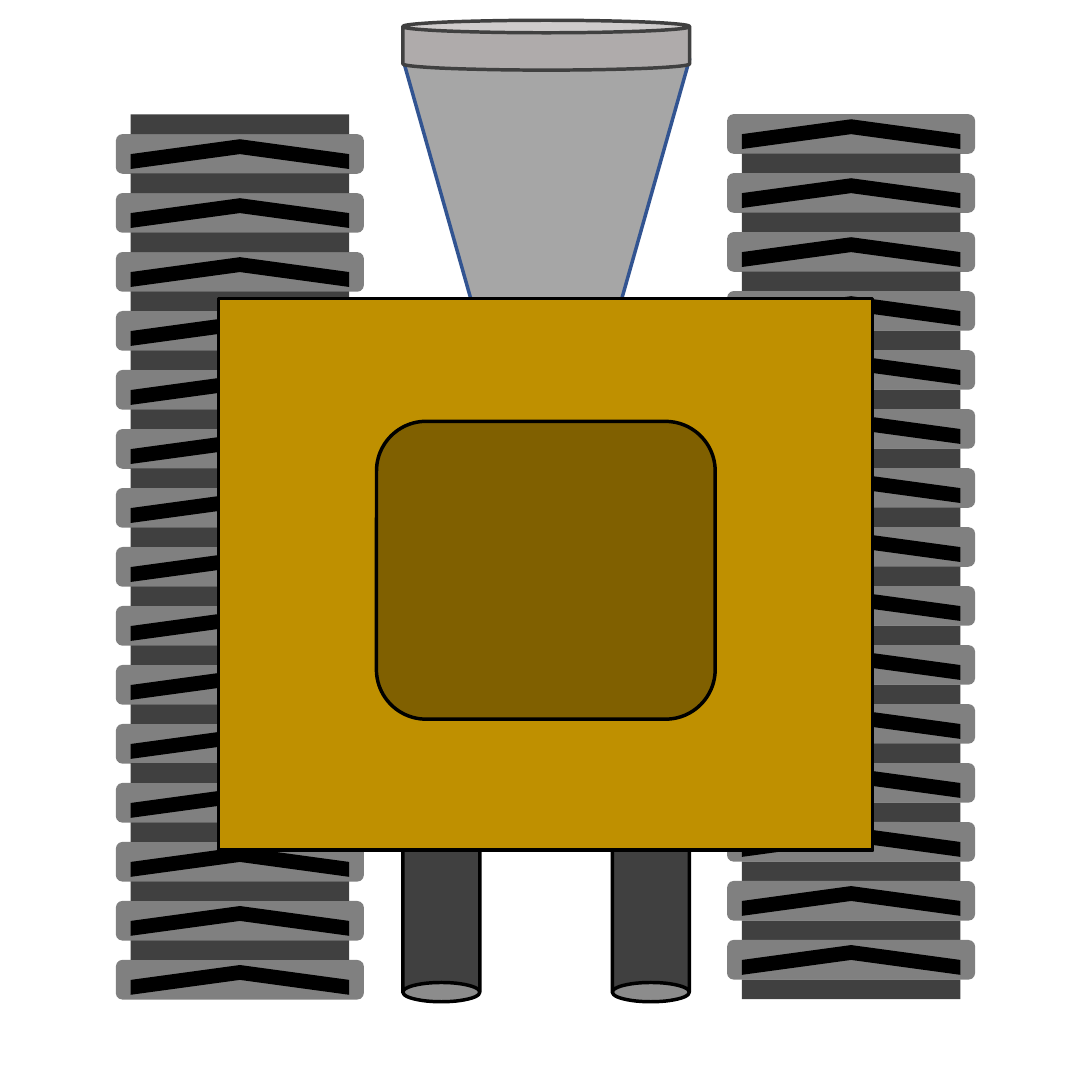
from pptx import Presentation
from pptx.dml.color import RGBColor
from pptx.enum.shapes import MSO_SHAPE as SHAPE
from pptx.util import Pt

COLORS = {
    "pad": "808080", "belt": "404040", "tread": "000000", "outline": "000000",
    "pipe": "404040", "funnel": "A6A6A6", "funnel_edge": "325491",
    "body": "BF9000", "hatch": "806000", "rim": "AFABAB", "rim_edge": "404040",
}

SIDE = 311.76
PAD_COUNT, PITCH = 15, 16.84
PAD_WIDTH, PAD_HEIGHT = 70.8, 11.3
BELT_WIDTH, BELT_HEIGHT = 62.4, 5.6
TREAD_HEIGHT, TREAD_DROP = 8.5, 1.45

# left, top of the first pad, offset from each pad to its belt strip
TRACKS = [(33.1, 38.3, -BELT_HEIGHT), (207.6, 32.6, PAD_HEIGHT)]

# kind, (left, top, width, height), fill, line, rotation; back to front
MACHINE = [
    (SHAPE.CAN, (174.8, 206.9, 22, 79.1), "pipe", "outline", 180),
    (SHAPE.CAN, (115, 206.9, 22, 79.1), "pipe", "outline", 180),
    (SHAPE.TRAPEZOID, (115, 16.8, 81.9, 144.6), "funnel", "funnel_edge", 180),
    (SHAPE.RECTANGLE, (62.4, 85.3, 186.8, 157.5), "body", "outline", 0),
    (SHAPE.ROUNDED_RECTANGLE, (107.5, 120.3, 96.7, 85), "hatch", "outline", 0),
    (SHAPE.CAN, (115, 5.8, 81.9, 14.2), "rim", "rim_edge", 0),
]


def add_part(group, kind, frame, fill, line=None, rotation=0):
    """Add one filled part to a group, outlined if a line colour is named."""
    part = group.shapes.add_shape(kind, *map(Pt, frame))
    part.shadow.inherit = False
    part.rotation = rotation
    part.fill.solid()
    part.fill.fore_color.rgb = RGBColor.from_string(COLORS[fill])
    if line:
        part.line.color.rgb = RGBColor.from_string(COLORS[line])
        part.line.width = Pt(1)
    else:
        part.line.fill.background()
    return part


def add_track(page, left, top, belt_offset):
    """Add a column of pads, belt strips and upward treads."""
    group = page.shapes.add_group_shape()
    middle = left + PAD_WIDTH / 2
    belt_left = middle - BELT_WIDTH / 2
    for index in range(PAD_COUNT):
        pad_top = top + index * PITCH
        tread_middle = pad_top + TREAD_DROP + TREAD_HEIGHT / 2
        add_part(group, SHAPE.ROUNDED_RECTANGLE,
                 (left, pad_top, PAD_WIDTH, PAD_HEIGHT), "pad")
        add_part(group, SHAPE.RECTANGLE,
                 (belt_left, pad_top + belt_offset, BELT_WIDTH, BELT_HEIGHT), "belt")
        # The chevron points right, so its frame stands upright before turning
        add_part(group, SHAPE.CHEVRON,
                 (middle - TREAD_HEIGHT / 2, tread_middle - BELT_WIDTH / 2,
                  TREAD_HEIGHT, BELT_WIDTH), "tread", rotation=270)


deck = Presentation()
deck.slide_width = deck.slide_height = Pt(SIDE)
page = deck.slides.add_slide(deck.slide_layouts[6])

for track in TRACKS:
    add_track(page, *track)

machine = page.shapes.add_group_shape()
for kind, frame, fill, line, rotation in MACHINE:
    part = add_part(machine, kind, frame, fill, line, rotation)
    if kind == SHAPE.TRAPEZOID:
        part.adjustments[0] = 0.5

deck.save("out.pptx")
